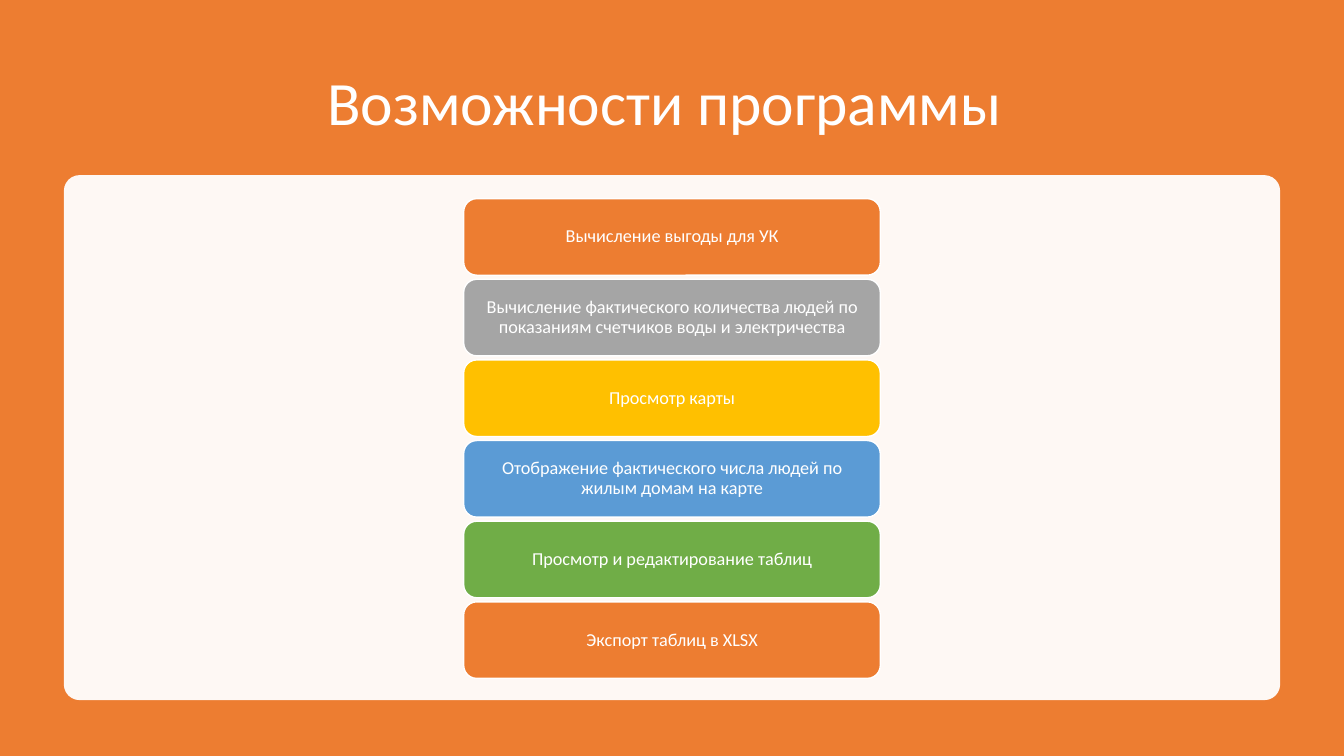
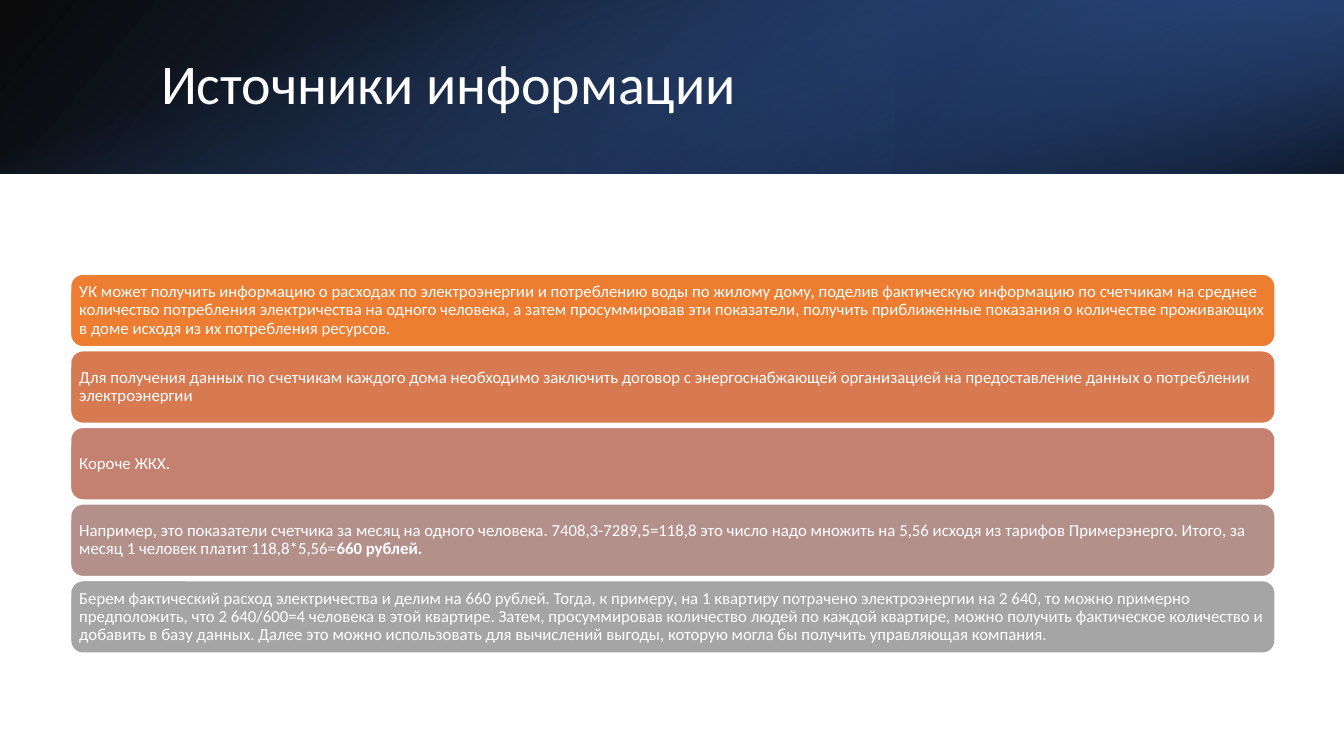
"""Builds two slides on a data program's features and its information sources."""
from dataclasses import dataclass

from lxml import etree
from pptx import Presentation, util as u
from pptx.dml.color import RGBColor
from pptx.enum import shapes, text
from pptx.oxml import ns


@dataclass(frozen=True)
class Theme:
    font: str = "Calibri"
    white: str = "FFFFFF"
    black: str = "000000"
    orange: str = "ED7D31"
    grey: str = "A5A5A5"
    gold: str = "FFC000"
    sky: str = "5B9BD5"
    green: str = "70AD47"
    blue: str = "4472C4"
    deep_blue: str = "2F5597"
    navy: str = "203864"
    blend: tuple = ("ED7D31", "D87A51", "C48170", "B4908B", "A5A5A5")
    title: int = 44
    side_title: int = 40
    card: int = 13
    note: int = 12


T = Theme()
COLS, ROWS = 160, 90
CELL = u.Inches(7.5) / ROWS
GAP = 0.48
BAND = 20.64

FEATURES = [
    ("Вычисление выгоды для УК", T.orange),
    ("Вычисление фактического количества людей по показаниям счетчиков воды и электричества", T.grey),
    ("Просмотр карты", T.gold),
    ("Отображение фактического числа людей по жилым домам на карте", T.sky),
    ("Просмотр и редактирование таблиц", T.green),
    ("Экспорт таблиц в XLSX", T.orange),
]

SOURCES = [
    "УК может получить информацию о расходах по электроэнергии и потреблению воды по жилому дому, "
    "поделив фактическую информацию по счетчикам на среднее количество потребления электричества "
    "на одного человека, а затем просуммировав эти показатели, получить приближенные показания "
    "о количестве проживающих в доме исходя из их потребления ресурсов.",
    "Для получения данных по счетчикам каждого дома необходимо заключить договор с энергоснабжающей "
    "организацией на предоставление данных о потреблении электроэнергии",
    "Короче ЖКХ.",
    ("Например, это показатели счетчика за месяц на одного человека. 7408,3-7289,5=118,8 это число "
     "надо множить на 5,56 исходя из тарифов Примерэнерго. Итого, за месяц 1 человек платит "
     "118,8*5,56=", "660 рублей."),
    "Берем фактический расход электричества и делим на 660 рублей. Тогда, к примеру, на 1 квартиру "
    "потрачено электроэнергии на 2 640, то можно примерно предположить, что 2 640/600=4 человека "
    "в этой квартире. Затем, просуммировав количество людей по каждой квартире, можно получить "
    "фактическое количество и добавить в базу данных. Далее это можно использовать для вычислений "
    "выгоды, которую могла бы получить управляющая компания.",
]


def grid(*cells):
    """Turns grid columns and rows into slide lengths."""
    return [u.Emu(round(c * CELL)) for c in cells]


def write(sp, content, size, align=text.PP_ALIGN.LEFT, inset=(0.1, 0.05)):
    """Fills a shape with one paragraph; the second part of a tuple is bold."""
    tf = sp.text_frame
    tf.word_wrap = True
    tf.vertical_anchor = text.MSO_ANCHOR.MIDDLE
    tf.margin_left = tf.margin_right = u.Inches(inset[0])
    tf.margin_top = tf.margin_bottom = u.Inches(inset[1])
    p = tf.paragraphs[0]
    p.alignment = align
    p.line_spacing = 0.9
    parts = (content,) if isinstance(content, str) else content
    for i, part in enumerate(parts):
        r = p.add_run()
        r.text = part
        r.font.name = T.font
        r.font.size = u.Pt(size)
        r.font.bold = i > 0
        r.font.color.rgb = RGBColor.from_string(T.white)


def add_box(s, at, color=None, alpha=100, line=None, radius=None):
    """Adds a rectangle, rounded when a radius share is given."""
    kinds = shapes.MSO_SHAPE
    sp = s.shapes.add_shape(kinds.RECTANGLE if radius is None else kinds.ROUNDED_RECTANGLE, *grid(*at))
    sp.shadow.inherit = False
    if radius is not None:
        sp.adjustments[0] = radius
    if color:
        sp.fill.solid()
        sp.fill.fore_color.rgb = RGBColor.from_string(color)
        if alpha < 100:
            clr = sp._element.spPr.find(ns.qn("a:solidFill"))[0]
            etree.SubElement(clr, ns.qn("a:alpha")).set("val", str(alpha * 1000))
    if line:
        sp.line.color.rgb = RGBColor.from_string(line)
        sp.line.width = u.Pt(1)
    else:
        sp.line.fill.background()
    return sp


def add_gradient(s, at, stops, angle, rotation=0, flip=False):
    """Adds a rectangle with a linear gradient of (position, colour, opacity) stops."""
    sp = add_box(s, at)
    sp.rotation = rotation
    spPr = sp._element.spPr
    if flip:
        spPr.find(ns.qn("a:xfrm")).set("flipH", "1")
    fill = etree.Element(ns.qn("a:gradFill"))
    stop_list = etree.SubElement(fill, ns.qn("a:gsLst"))
    for pos, color, alpha in stops:
        gs = etree.SubElement(stop_list, ns.qn("a:gs"), pos=str(pos * 1000))
        clr = etree.SubElement(gs, ns.qn("a:srgbClr"), val=color)
        etree.SubElement(clr, ns.qn("a:alpha"), val=str(alpha * 1000))
    etree.SubElement(fill, ns.qn("a:lin"), ang=str(angle * 60000), scaled="0")
    spPr.find(ns.qn("a:prstGeom")).addnext(fill)


def add_title(s, at, content, size, **fmt):
    """Adds the slide title."""
    write(s.shapes.add_textbox(*grid(*at)), content, size, **fmt)


def add_stack(s, at, items, **fmt):
    """Stacks rounded cards of (content, colour) at equal gaps."""
    x, y, w, h = at
    for i, (content, color) in enumerate(items):
        sp = add_box(s, (x, y + i * (h + GAP), w, h), color, line=T.white, radius=0.17)
        write(sp, content, **fmt)


def features_slide(s):
    """Draws the list of program features."""
    center = text.PP_ALIGN.CENTER
    add_box(s, (0, 0, COLS, ROWS), T.orange)
    add_title(s, (11, 6, 138, 13.2), "Возможности программы ", T.title, align=center)
    add_box(s, (7.6, 20.85, 144.8, 62.5), T.white, alpha=95, radius=0.03)
    add_stack(s, (55.2, 23.65, 49.6, 9.12), FEATURES, size=T.card, align=center, inset=(0.05, 0.03))


def sources_slide(s):
    """Draws the information sources under a gradient band."""
    add_gradient(s, (0, 0, COLS, BAND), [(0, T.black, 96), (100, T.deep_blue, 100)], 140, flip=True)
    add_gradient(s, (COLS * 2 / 3, 0, COLS / 3, BAND), [(19, T.navy, 68), (100, T.blue, 79)],
                 320, rotation=180, flip=True)
    offset = (COLS - BAND) / 2
    add_gradient(s, (offset, -offset, BAND, COLS), [(23, T.blue, 0), (99, T.black, 74)], 340, rotation=90)
    add_title(s, (18, 4.56, 131.8, 11.52), "Источники информации", T.side_title)
    add_stack(s, (8.4, 32.64, 143.4, 8.64), zip(SOURCES, T.blend), size=T.note, inset=(0.05, 0.05))


def main():
    """Builds and saves the presentation."""
    prs = Presentation()
    prs.slide_width, prs.slide_height = grid(COLS, ROWS)
    for draw in (features_slide, sources_slide):
        draw(prs.slides.add_slide(prs.slide_layouts[6]))
    prs.save("out.pptx")


if __name__ == "__main__":
    main()
